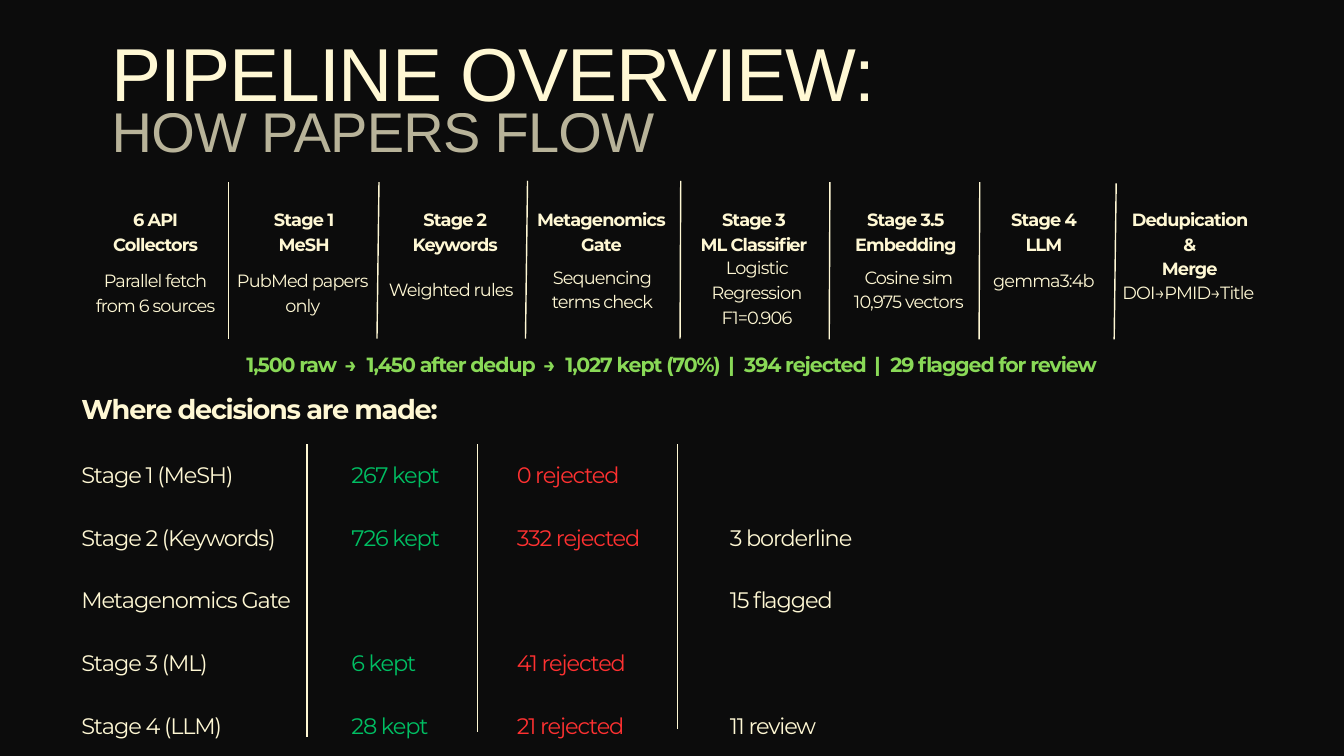
"""Build the pipeline overview slide: stage strip, totals and decision counts."""
from lxml.etree import SubElement
from pptx import Presentation
from pptx.dml.color import RGBColor
from pptx.enum.shapes import MSO_CONNECTOR
from pptx.enum.text import MSO_AUTO_SIZE, PP_ALIGN
from pptx.oxml.ns import qn
from pptx.util import Inches, Pt

HUES = {"back": "0C0C0C", "cream": "FFF8D4", "lime": "89D957",
        "green": "00BF63", "red": "FF3131"}

# Fields: head, (left, width, height), note, (left, top, height)
STAGES = [
    (["6 API", "Collectors"], (1.21, 2.21, 1.08),
     ["Parallel fetch", "from 6 sources"], (1.21, 3.96, 1.08)),
    (["Stage 1", "MeSH"], (3.42, 2.21, 1.08),
     ["PubMed papers", "only"], (3.4, 3.96, 1.08)),
    (["Stage 2", "Keywords"], (5.67, 2.21, 1.08),
     ["Weighted rules"], (5.61, 4.09, 0.72)),
    (["Metagenomics", "Gate"], (7.82, 2.26, 1.08),
     ["Sequencing", "terms check"], (7.86, 3.91, 1.08)),
    (["Stage 3", "ML Classifier"], (10.15, 2.14, 1.08),
     ["Logistic Regression", "F1=0.906"], (10.16, 3.77, 1.45)),
    (["Stage 3.5", "Embedding"], (12.34, 2.28, 1.08),
     ["Cosine sim", "10,975 vectors"], (12.42, 3.91, 1.08)),
    (["Stage 4", "LLM"], (14.6, 1.87, 1.08),
     ["gemma3:4b"], (14.43, 3.96, 0.35)),
    (["Dedupication &", "Merge"], (16.77, 1.87, 1.45),
     ["DOI→PMID→Title"], (16.58, 4.14, 0.72)),
]
TOTALS = ["1,500 raw", " → ", "1,450 after dedup", " → ", "1,027 kept (70%)",
          " | ", "394 rejected", " | ", "29 flagged for review"]
ROWS = [
    ("Stage 1 (MeSH)", "267 kept", "0 rejected", ""),
    ("Stage 2 (Keywords)", "726 kept", "332 rejected", "3 borderline"),
    ("Metagenomics Gate", "", "", "15 flagged"),
    ("Stage 3 (ML)", "6 kept", "41 rejected", ""),
    ("Stage 4 (LLM)", "28 kept", "21 rejected", "11 review"),
]
TINTS = ["cream", "green", "red", "cream"]
STOPS = [4.02, 6.48, 9.65]
HEAD_TOP, NOTE_WIDE = 3.05, 2.21
RULES = [
    (3.4, 5.04, 3.4, 2.71), (5.61, 5.04, 5.64, 2.71),
    (7.82, 5.04, 7.85, 2.69), (10.12, 5.04, 10.13, 2.69),
    (12.34, 5.05, 12.35, 2.71), (14.57, 5.05, 14.58, 2.71),
    (16.58, 5.05, 16.61, 2.73), (4.57, 10.97, 4.57, 6.61),
    (7.11, 10.89, 7.11, 6.61), (10.08, 10.85, 10.08, 6.61),
]
STYLES = {
    "title": ({"size": Pt(80.4), "name": "Arial"}, -1.1, 80.4),
    "sub": ({"size": Pt(60), "name": "Arial"}, -0.8, 60),
    "head": ({"size": Pt(19), "name": "Montserrat", "bold": True}, -0.9, 26.6),
    "note": ({"size": Pt(19), "name": "Montserrat"}, -0.9, 26.6),
    "total": ({"size": Pt(22), "name": "Montserrat", "bold": True}, -1.1, 30.8),
    "label": ({"size": Pt(29.1), "name": "Montserrat", "bold": True}, -1.4, 40.8),
    "row": ({"size": Pt(24), "name": "Montserrat"}, -1.2, 33.6),
}


def add_box(slide, *spot):
    frame = slide.shapes.add_textbox(*map(Inches, spot)).text_frame
    look = {"word_wrap": True, "auto_size": MSO_AUTO_SIZE.SHAPE_TO_FIT_TEXT,
            "margin_left": 0, "margin_top": 0, "margin_right": 0, "margin_bottom": 0}
    for key, val in look.items():
        setattr(frame, key, val)
    return frame


def add_run(para, text, style, hue="cream", track=None):
    look, space, _ = STYLES[style]
    run = para.add_run()
    run.text = text
    for key, val in look.items():
        setattr(run.font, key, val)
    run.font.color.rgb = RGBColor.from_string(HUES[hue])
    wide = space if track is None else track
    run._r.get_or_add_rPr().set("spc", str(round(wide * 100)))
    return run


def set_para(para, style, align):
    para.alignment = align
    para.line_spacing = Pt(STYLES[style][2])
    return para


def add_lines(slide, lines, style, align, *spot):
    frame = add_box(slide, *spot)
    for num, text in enumerate(lines):
        para = frame.add_paragraph() if num else frame.paragraphs[0]
        add_run(set_para(para, style, align), text, style)
    return frame


def add_rule(slide, *ends):
    rule = slide.shapes.add_connector(MSO_CONNECTOR.STRAIGHT, *map(Inches, ends))
    rule.line.color.rgb = RGBColor.from_string(HUES["cream"])
    rule.line.width = Pt(1.5)
    SubElement(rule._element.spPr, qn("a:effectLst"))


def add_titles(slide):
    add_lines(slide, ["PIPELINE OVERVIEW:"], "title", PP_ALIGN.JUSTIFY,
              1.66, 0.62, 11.62, 1.17)
    frame = add_lines(slide, ["HOW PAPERS FLOW"], "sub", PP_ALIGN.JUSTIFY,
                      1.66, 1.61, 11.62, 0.89)
    tone = next(frame._txBody.iter(qn("a:srgbClr")))
    SubElement(tone, qn("a:alpha")).set("val", "71000")


def add_stages(slide):
    for head, (left, wide, high), note, (x, y, tall) in STAGES:
        add_lines(slide, head, "head", PP_ALIGN.CENTER, left, HEAD_TOP, wide, high)
        add_lines(slide, note, "note", PP_ALIGN.CENTER, x, y, NOTE_WIDE, tall)


def add_totals(slide):
    para = add_box(slide, 1.28, 5.18, 17.43, 0.83).paragraphs[0]
    set_para(para, "total", PP_ALIGN.CENTER)
    for num, text in enumerate(TOTALS):
        add_run(para, text, "total", "lime", 2 if num % 2 else None)


def add_counts(slide):
    frame = add_lines(slide, ["Where decisions are made:"], "label",
                      PP_ALIGN.LEFT, 1.21, 5.76, 12.81, 5.12)
    for row in ROWS:
        para = set_para(frame.add_paragraph(), "row", PP_ALIGN.LEFT)
        para.space_before = Pt(STYLES["row"][2])
        tabs = SubElement(para._p.get_or_add_pPr(), qn("a:tabLst"))
        for stop in STOPS:
            tab = SubElement(tabs, qn("a:tab"))
            tab.set("pos", str(Inches(stop)))
            tab.set("algn", "l")
        last = max(num for num, text in enumerate(row) if text)
        for num, text in enumerate(row[:last + 1]):
            add_run(para, "\t" * bool(num) + text, "row", TINTS[num])


def main():
    deck = Presentation()
    deck.slide_width, deck.slide_height = Inches(20), Inches(11.25)
    slide = deck.slides.add_slide(deck.slide_layouts[6])
    slide.background.fill.solid()
    slide.background.fill.fore_color.rgb = RGBColor.from_string(HUES["back"])
    for ends in RULES:
        add_rule(slide, *ends)
    add_titles(slide)
    add_stages(slide)
    add_totals(slide)
    add_counts(slide)
    deck.save("out.pptx")


if __name__ == "__main__":
    main()
